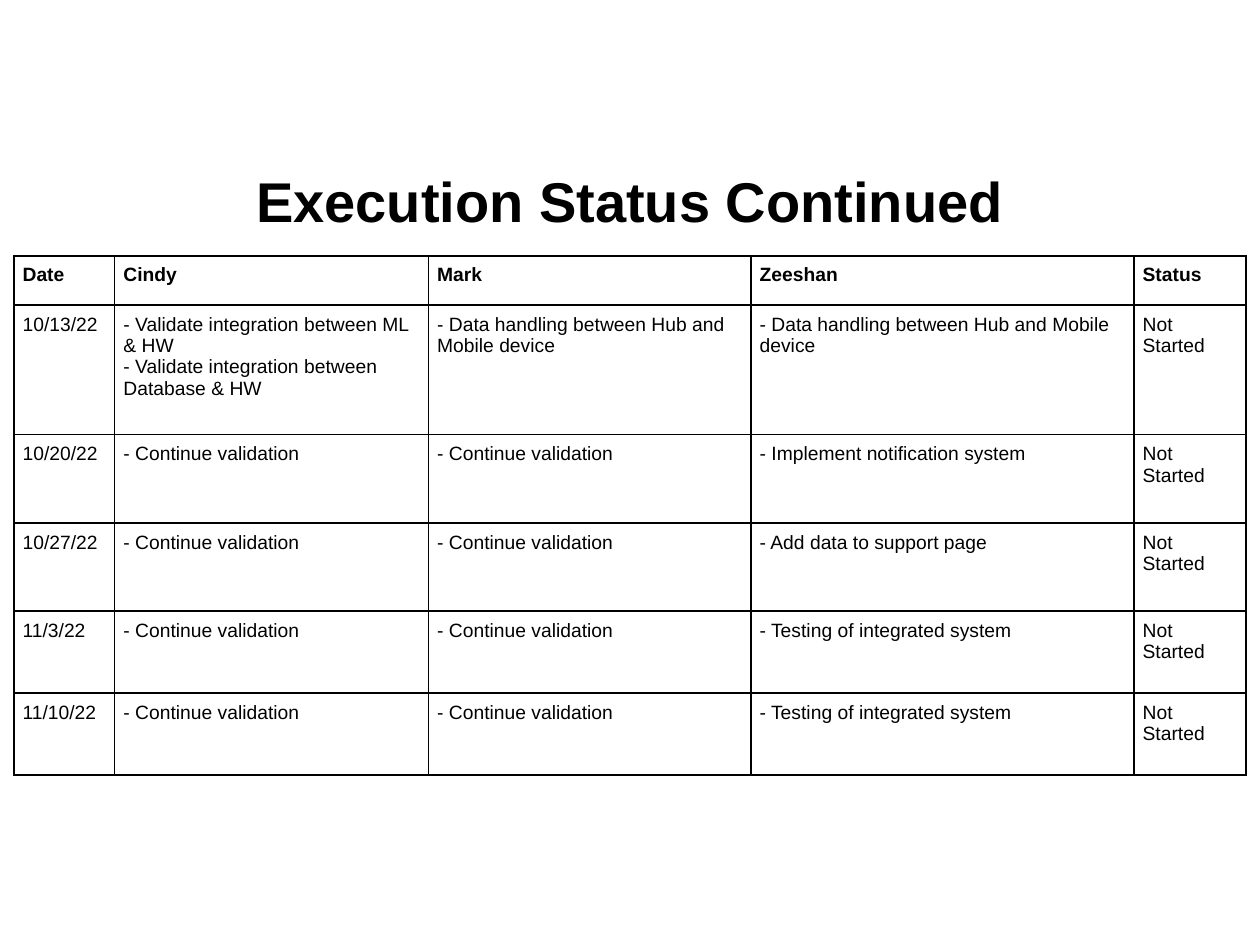
from lxml import etree
from pptx import Presentation
from pptx.dml.color import RGBColor
from pptx.enum import text
from pptx.oxml import ns
from pptx.util import Inches, Pt

BLACK = RGBColor(0x00, 0x00, 0x00)
FONT = "Arial"
CONTINUE = "- Continue validation"
HANDLING = "- Data handling between Hub and Mobile device"
TESTING = "- Testing of integrated system"
PENDING = "Not Started"

ROWS = [
    ("Date", "Cindy", "Mark", "Zeeshan", "Status"),
    ("10/13/22",
     "- Validate integration between ML & HW\n"
     "- Validate integration between Database & HW",
     HANDLING, HANDLING, PENDING),
    ("10/20/22", CONTINUE, CONTINUE, "- Implement notification system", PENDING),
    ("10/27/22", CONTINUE, CONTINUE, "- Add data to support page", PENDING),
    ("11/3/22", CONTINUE, CONTINUE, TESTING, PENDING),
    ("11/10/22", CONTINUE, CONTINUE, TESTING, PENDING),
]
COL_WIDTHS = [0.8, 2.49, 2.56, 3.04, 0.89]
ROW_HEIGHTS = [0.39, 1.03, 0.7, 0.7, 0.65, 0.65]


def style(p, size, bold):
    p.font.name = FONT
    p.font.size = Pt(size)
    p.font.bold = bold
    p.font.color.rgb = BLACK


def add_borders(cell):
    tcPr = cell._tc.get_or_add_tcPr()
    for i, side in enumerate(("lnL", "lnR", "lnT", "lnB")):
        ln = etree.Element(ns.qn(f"a:{side}"), w=str(Pt(1)))
        fill = etree.SubElement(ln, ns.qn("a:solidFill"))
        etree.SubElement(fill, ns.qn("a:srgbClr"), val=str(BLACK))
        tcPr.insert(i, ln)


prs = Presentation()
prs.slide_width, prs.slide_height = Inches(10), Inches(7.5)
s = prs.slides.add_slide(prs.slide_layouts[6])

# Title
tf = s.shapes.add_textbox(Inches(0.5), Inches(1.15), Inches(9), Inches(0.88)).text_frame
tf.word_wrap = True
tf.vertical_anchor = text.MSO_ANCHOR.MIDDLE
p = tf.paragraphs[0]
p.text = "Execution Status Continued"
p.alignment = text.PP_ALIGN.CENTER
style(p, 32, True)

# Status table
tbl = s.shapes.add_table(len(ROWS), len(COL_WIDTHS), Inches(0.11), Inches(2.03),
                         Inches(sum(COL_WIDTHS)), Inches(sum(ROW_HEIGHTS))).table
tbl.first_row = tbl.horz_banding = False
for col, width in zip(tbl.columns, COL_WIDTHS):
    col.width = Inches(width)
for row, height in zip(tbl.rows, ROW_HEIGHTS):
    row.height = Inches(height)

# Cells
for i, values in enumerate(ROWS):
    for j, value in enumerate(values):
        cell = tbl.cell(i, j)
        cell.text = value
        cell.fill.background()
        cell.margin_left = cell.margin_right = Inches(0.07)
        cell.margin_top = cell.margin_bottom = Inches(0.07)
        for p in cell.text_frame.paragraphs:
            style(p, 11, i == 0)
        add_borders(cell)

prs.save("out.pptx")
